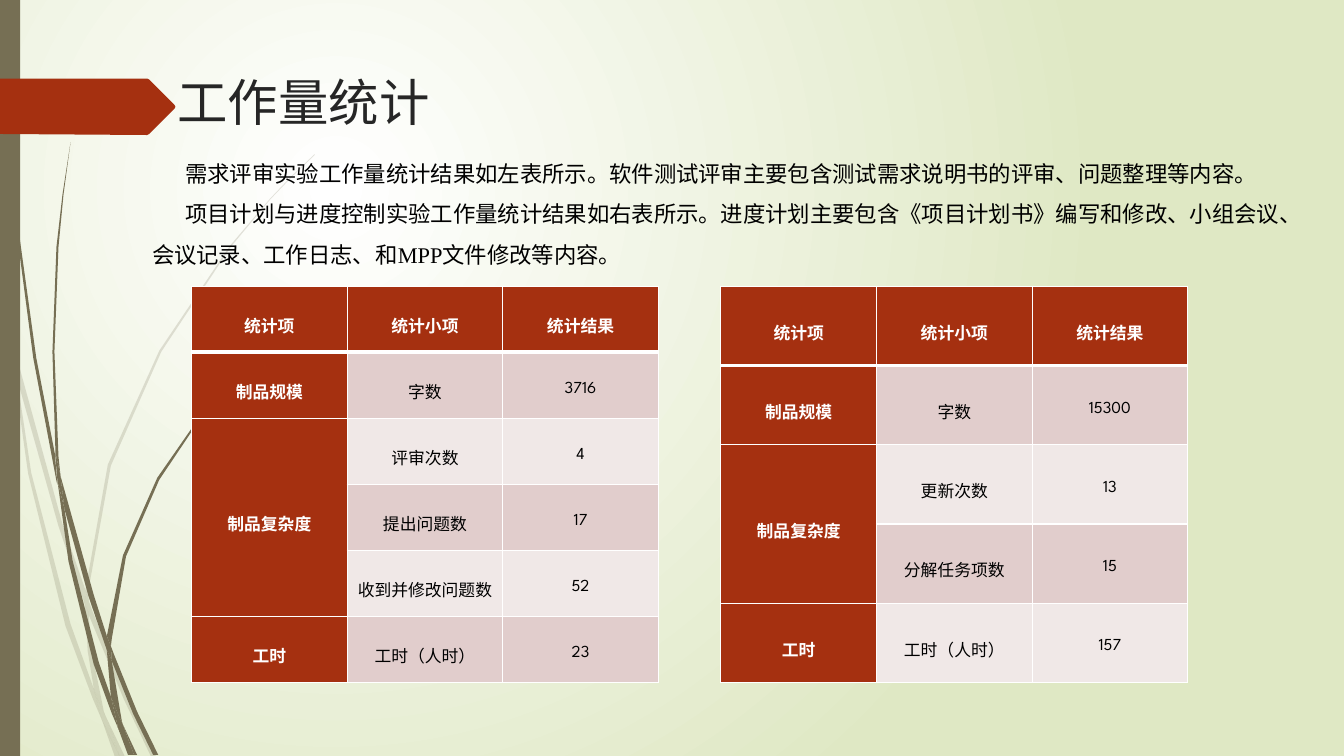
from lxml import etree
from pptx import Presentation
from pptx.dml.color import RGBColor
from pptx.enum.shapes import MSO_SHAPE
from pptx.enum.text import MSO_ANCHOR, MSO_AUTO_SIZE, PP_ALIGN
from pptx.oxml.ns import qn
from pptx.util import Inches, Pt

RECTANGLE = MSO_SHAPE.RECTANGLE
TOP, MIDDLE = MSO_ANCHOR.TOP, MSO_ANCHOR.MIDDLE
NO_FIT, GROW = MSO_AUTO_SIZE.NONE, MSO_AUTO_SIZE.SHAPE_TO_FIT_TEXT
LEFT, CENTER = PP_ALIGN.LEFT, PP_ALIGN.CENTER

WHITE = RGBColor(0xFF, 0xFF, 0xFF)
BLACK = RGBColor(0, 0, 0)
CHARCOAL = RGBColor(0x26, 0x26, 0x26)
PALE_GREEN = RGBColor(0xDF, 0xE8, 0xC4)
OLIVE = RGBColor(0x76, 0x6F, 0x54)
RUST = RGBColor(0xA5, 0x30, 0x10)
BANDS = (RGBColor(0xE1, 0xCD, 0xCC), RGBColor(0xF0, 0xE8, 0xE7))

HEADING_FONT, BODY_FONT = "League Spartan", "Times New Roman"

PALE_GRASS = [
    [(0.11, 3.5), (0.09, 3.22), (0, 2.82), (0, 2.99), (0.1, 3.44)],
    [(0.58, 5.22), (0.84, 5.99), (0.85, 5.86), (0.62, 5.2), (0.14, 3.45), (0.17, 3.76)],
    [(0.92, 6.07), (0.88, 5.96), (0.88, 6.1), (1.23, 6.94), (1.5, 7.51), (1.55, 7.51),
     (1.27, 6.92)],
    [(1.19, 7.51), (1.24, 7.51), (1.05, 7.11)],
    [(0.93, 6.83), (0.7, 6.19), (0.31, 4.69), (0.17, 3.76), (0.11, 3.5), (0.28, 4.7),
     (0.65, 6.21), (0.92, 6.93), (1.01, 7.14), (0.99, 7.07)],
    [(0.84, 5.99), (0.87, 6.46), (0.93, 6.83), (0.96, 6.92), (1.05, 7.11), (1.03, 7.06),
     (0.91, 6.46), (0.88, 6.1), (0.88, 6.08)],
    [(0.88, 5.84), (1.1, 4.62), (1.6, 3.49), (2.29, 2.45), (2.68, 1.98), (2.9, 1.75),
     (3.12, 1.54), (3.12, 1.53), (2.89, 1.75), (2.68, 1.97), (2.28, 2.44), (1.58, 3.48),
     (1.07, 4.61), (0.85, 5.84), (0.85, 5.86), (0.88, 5.96)],
    [(1.01, 7.14), (1.14, 7.51), (1.19, 7.51)],
    [(0.88, 6.08), (0.88, 6.1), (0.88, 5.96), (0.85, 5.86), (0.84, 5.99)],
    [(0.96, 6.92), (0.93, 6.83), (0.99, 7.07), (1.01, 7.14), (1.19, 7.51), (1.05, 7.11)],
]
DARK_GRASS = [
    [(0.07, 1.1), (0.17, 2.33), (0.33, 3.55), (0.56, 4.77), (0.57, 4.81), (0.55, 4.57),
     (0.55, 4.53), (0.36, 3.55), (0.19, 2.32), (0.08, 1.09), (0.05, 0.48), (0.04, 0),
     (0.03, 0), (0.04, 0.48)],
    [(0.88, 5.92), (1.06, 6.45), (1.06, 6.31), (0.93, 5.9), (0.6, 4.72), (0.64, 5.05)],
    [(1.13, 6.49), (1.1, 6.41), (1.11, 6.56), (1.32, 7.08), (1.52, 7.49), (1.57, 7.49),
     (1.36, 7.06)],
    [(1.1, 6.91), (0.98, 6.57), (0.72, 5.56), (0.64, 5.05), (0.57, 4.77), (0.68, 5.57),
     (0.93, 6.59), (1.11, 7.08), (1.17, 7.22), (1.16, 7.17)],
    [(0.6, 4.72), (0.58, 4.53), (0.54, 3.49), (0.58, 2.45), (0.63, 1.93), (0.7, 1.41),
     (0.62, 1.93), (0.56, 2.45), (0.52, 3.49), (0.55, 4.49)],
    [(1.33, 7.49), (1.36, 7.49), (1.22, 7.19)],
    [(0.57, 4.77), (0.64, 5.05), (0.6, 4.72), (0.55, 4.49), (0.55, 4.53)],
    [(1.11, 6.33), (1.25, 5.52), (1.58, 4.76), (2.05, 4.06), (2.31, 3.74), (2.45, 3.59),
     (2.61, 3.44), (2.6, 3.44), (2.45, 3.58), (2.31, 3.73), (2.04, 4.05), (1.56, 4.74),
     (1.22, 5.51), (1.06, 6.31), (1.1, 6.41)],
    [(1.17, 7.22), (1.27, 7.49), (1.31, 7.49)],
    [(1.06, 6.45), (1.1, 6.91), (1.16, 7.06), (1.22, 7.19), (1.21, 7.16), (1.11, 6.56),
     (1.09, 6.51)],
    [(1.06, 6.45), (1.09, 6.51), (1.11, 6.56), (1.1, 6.41), (1.06, 6.31)],
    [(1.16, 7.06), (1.1, 6.91), (1.16, 7.17), (1.17, 7.22), (1.3, 7.49), (1.33, 7.49),
     (1.22, 7.19)],
]
TITLE_ARROW = [(0, 0.78), (1.46, 0.78), (1.48, 0.79), (1.73, 1.04), (1.74, 1.06),
               (1.73, 1.08), (1.48, 1.33), (1.46, 1.34), (0, 1.33)]

INTRO = [
    "需求评审实验工作量统计结果如左表所示。软件测试评审主要包含测试需求说明书的评审、问题整理等内容。",
    "项目计划与进度控制实验工作量统计结果如右表所示。进度计划主要包含《项目计划书》编写和修改、"
    "小组会议、会议记录、工作日志、和MPP文件修改等内容。",
]
HEADER = ("统计项", "统计小项", "统计结果")
REVIEW_ROWS = [
    HEADER,
    ("制品规模", "字数", "3716"),
    ("制品复杂度", "评审次数", "4"),
    ("", "提出问题数", "17"),
    ("", "收到并修改问题数", "52"),
    ("工时", "工时（人时）", "23"),
]
PLANNING_ROWS = [
    HEADER,
    ("制品规模", "字数", "15300"),
    ("制品复杂度", "更新次数", "13"),
    ("", "分解任务项数", "15"),
    ("工时", "工时（人时）", "157"),
]


def apply(target, values):
    """Set each named attribute on the target."""
    for name, value in values.items():
        setattr(target, name, value)


def write(para, text, font, size, color, bold=False):
    """Add one formatted span of text to a paragraph."""
    span = para.add_run()
    span.text = text
    apply(span.font, {"name": font, "size": Pt(size), "bold": bold})
    span.font.color.rgb = color


def paint(shape, color, alpha=None):
    """Fill a shape plainly, without line or shadow."""
    shape.shadow.inherit = False
    shape.line.fill.background()
    shape.fill.solid()
    shape.fill.fore_color.rgb = color
    if alpha is not None:
        shade = shape.element.spPr.find(qn("a:solidFill"))[0]
        etree.SubElement(shade, qn("a:alpha"), val=str(alpha * 1000))


def add_outline(shapes, points, color, alpha=None):
    """Draw a closed outline through points given in inches."""
    start, *rest = [(Inches(x), Inches(y)) for x, y in points]
    builder = shapes.build_freeform(*start)
    builder.add_line_segments(rest, close=True)
    paint(builder.convert_to_shape(), color, alpha)


def add_grass(page, blades, alpha=None):
    """Draw a group of grass blades."""
    group = page.shapes.add_group_shape()
    for blade in blades:
        add_outline(group.shapes, blade, OLIVE, alpha)


def set_background(page):
    """Give the page a round gradient from white to pale green."""
    fill = page.background.fill
    fill.gradient()
    for stop, color, position in zip(fill.gradient_stops, (WHITE, PALE_GREEN), (0, 1)):
        stop.color.rgb = color
        stop.position = position
    gradient = page.element.find(".//" + qn("a:gradFill"))
    circle = etree.Element(qn("a:path"), {"path": "circle"})
    etree.SubElement(circle, qn("a:fillToRect"),
                     l="50000", t="50000", r="100000", b="100000")
    gradient.replace(gradient.find(qn("a:lin")), circle)


def add_title(page, text):
    """Place the title above the decoration."""
    title = page.shapes.title
    page.shapes.element.append(title.element)
    apply(title, {"left": Inches(1.66), "top": Inches(0.66),
                  "width": Inches(9.75), "height": Inches(1.4)})
    apply(title.text_frame, {"vertical_anchor": TOP, "auto_size": NO_FIT, "word_wrap": True})
    para = title.text_frame.paragraphs[0]
    para.alignment = LEFT
    write(para, text, HEADING_FONT, 36, CHARCOAL)


def add_intro(page):
    """Add the introductory paragraphs with first-line indents."""
    box = page.shapes.add_textbox(Inches(1.41), Inches(1.4), Inches(11.64), Inches(1.31))
    frame = box.text_frame
    apply(frame, {"word_wrap": True, "auto_size": GROW, "vertical_anchor": MIDDLE})
    for index, text in enumerate(INTRO):
        para = frame.add_paragraph() if index else frame.paragraphs[0]
        para.line_spacing = 1.5
        para._p.get_or_add_pPr().set("indent", str(Inches(0.33)))
        write(para, text, BODY_FONT, 16, BLACK)


def add_borders(cell, row):
    """Draw white cell borders, thick below the header."""
    weights = {"L": 1, "R": 1, "T": 3 if row == 1 else 1, "B": 3 if row == 0 else 1}
    for side, weight in weights.items():
        line = etree.SubElement(cell._tc.get_or_add_tcPr(), qn("a:ln" + side),
                                w=str(Pt(weight)))
        solid = etree.SubElement(line, qn("a:solidFill"))
        etree.SubElement(solid, qn("a:srgbClr"), val=str(WHITE))


def add_statistics(page, left, rows):
    """Add a statistics table whose empty labels join the label above."""
    width, height = Inches(4.63), Inches(3.93)
    table = page.shapes.add_table(len(rows), len(HEADER), left, Inches(2.84),
                                  width, height).table
    for column in table.columns:
        column.width = width // len(HEADER)
    for row, values in enumerate(rows):
        table.rows[row].height = height // len(rows)
        for column, text in enumerate(values):
            cell = table.cell(row, column)
            heading = row == 0 or column == 0
            apply(cell, {"vertical_anchor": MIDDLE, "margin_left": Inches(0.07),
                         "margin_right": Inches(0.07), "margin_top": 0, "margin_bottom": 0})
            add_borders(cell, row)
            cell.fill.solid()
            cell.fill.fore_color.rgb = RUST if heading else BANDS[(row - 1) % 2]
            if text:
                para = cell.text_frame.paragraphs[0]
                apply(para, {"alignment": CENTER, "line_spacing": 1.5})
                write(para, text, HEADING_FONT, 12, WHITE if heading else BLACK, heading)
    joined = [row for row, values in enumerate(rows) if not values[0]]
    table.cell(joined[0] - 1, 0).merge(table.cell(joined[-1], 0))


def main():
    """Build the workload statistics slide."""
    deck = Presentation()
    apply(deck, {"slide_width": Inches(13.33), "slide_height": Inches(7.5)})
    page = deck.slides.add_slide(deck.slide_layouts[5])
    set_background(page)
    add_grass(page, PALE_GRASS, alpha=20)
    add_grass(page, DARK_GRASS)
    paint(page.shapes.add_shape(RECTANGLE, 0, 0, Inches(0.2), Inches(7.5)), OLIVE)
    add_outline(page.shapes, TITLE_ARROW, RUST)
    add_title(page, "工作量统计")
    add_intro(page)
    add_statistics(page, Inches(1.9), REVIEW_ROWS)
    add_statistics(page, Inches(7.15), PLANNING_ROWS)
    deck.save("out.pptx")


if __name__ == "__main__":
    main()
